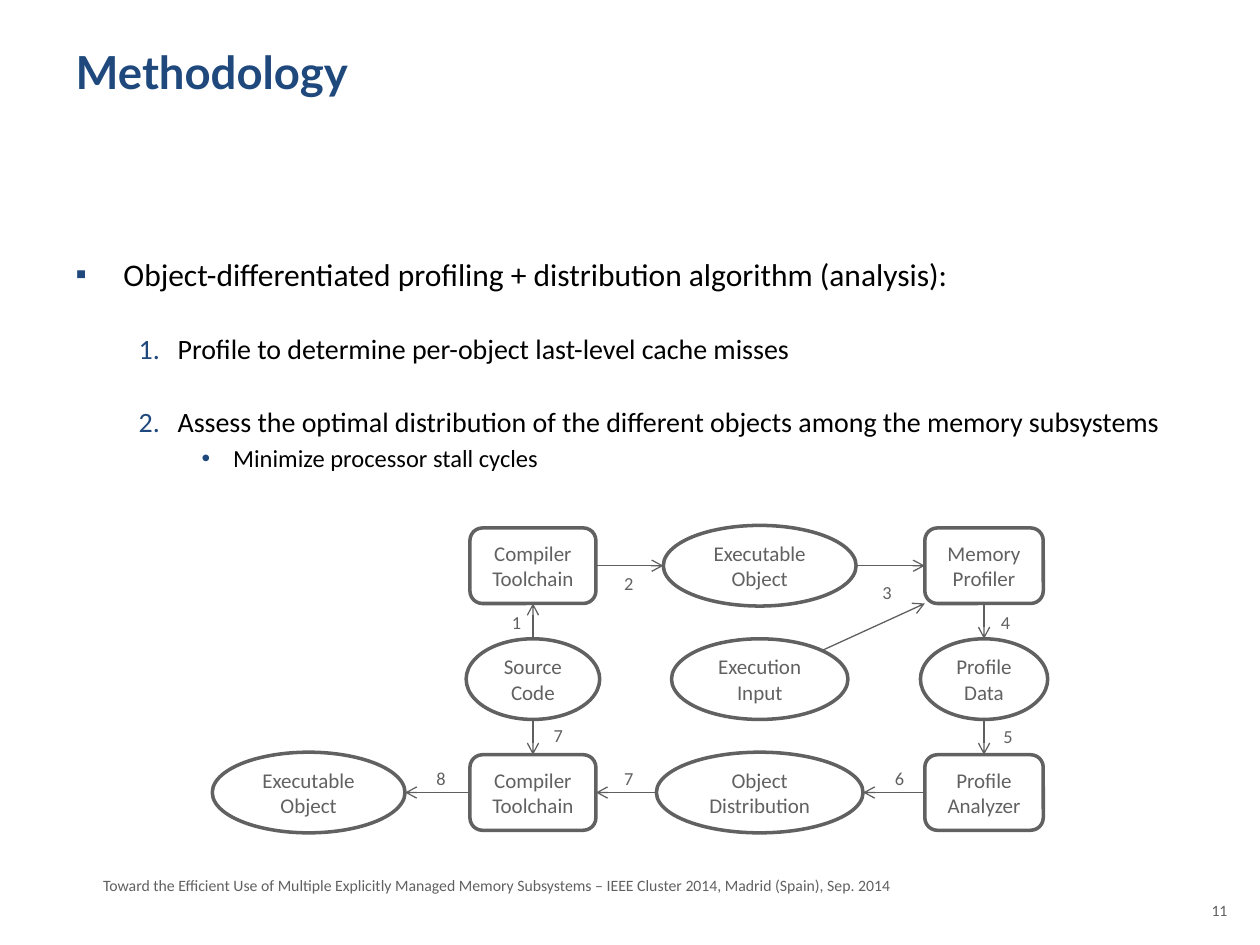
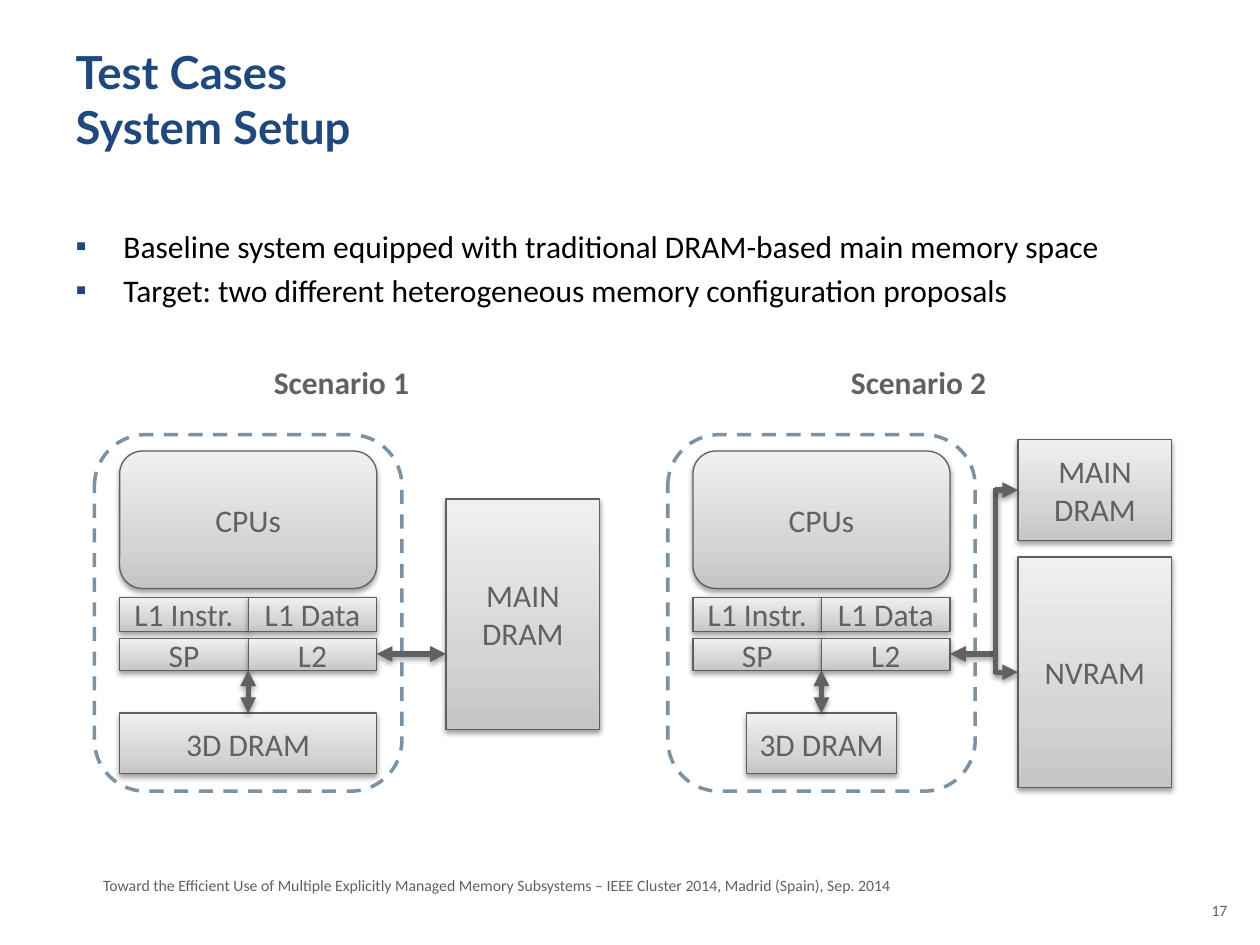
from copy import deepcopy

from pptx import Presentation
from pptx.dml.color import RGBColor
from pptx.enum.dml import MSO_LINE
from pptx.enum.shapes import MSO_CONNECTOR, MSO_SHAPE
from pptx.enum.text import MSO_ANCHOR, MSO_AUTO_SIZE, PP_ALIGN
from pptx.oxml import parse_xml
from pptx.oxml.ns import nsdecls, qn
from pptx.util import Inches, Pt

COLORS = {
    "navy": "1F497D",
    "black": "000000",
    "white": "FFFFFF",
    "text": "616161",
    "line": "5F5F5F",
    "frame": "7B91A4",
}
METAL_STOPS = [(0, "C5C5C5"), (0.35, "D6D6D6"), (1, "F0F0F0")]
RGB = {name: RGBColor.from_string(value) for name, value in COLORS.items()}
BODY_FONT = "Calibri"
FOOTER = (
    "Toward the Efficient Use of Multiple Explicitly Managed Memory Subsystems"
    " – IEEE Cluster 2014, Madrid (Spain), Sep. 2014"
)
SHADOW = (
    f'<a:effectLst {nsdecls("a")}><a:outerShdw blurRad="40000" dist="20000" '
    'dir="5400000" rotWithShape="0"><a:srgbClr val="000000"><a:alpha val="38000"/>'
    "</a:srgbClr></a:outerShdw></a:effectLst>"
)
NO_SHADOW = f'<a:effectLst {nsdecls("a")}/>'


def add_item(slide, kind, box, text, size, align=PP_ALIGN.CENTER, bold=False, metal=False):
    lengths = [Inches(value) for value in box]
    if kind is None:
        shape = slide.shapes.add_textbox(*lengths)
    else:
        shape = slide.shapes.add_shape(kind, *lengths)
        shape.line.color.rgb = RGB["line" if metal else "text"]
        shape.line.width = Pt(0.75 if metal else 2)
        if metal:
            shape.fill.gradient()
            shape.fill.gradient_angle = 90
            first_stop = shape._element.spPr.find(".//" + qn("a:gs"))
            first_stop.addnext(deepcopy(first_stop))
            for stop, (position, color) in zip(shape.fill.gradient_stops, METAL_STOPS):
                stop.position = position
                stop.color.rgb = RGBColor.from_string(color)
            shape._element.spPr.append(parse_xml(SHADOW))
        else:
            shape.fill.solid()
            shape.fill.fore_color.rgb = RGB["white"]
            shape.shadow.inherit = False
    frame = shape.text_frame
    frame.text = text
    frame.word_wrap = True
    if kind is not None:
        frame.vertical_anchor = MSO_ANCHOR.MIDDLE
        frame.margin_left = frame.margin_right = frame.margin_top = frame.margin_bottom = 0
    for paragraph in frame.paragraphs:
        paragraph.alignment = align
        for run in paragraph.runs:
            run.font.name = BODY_FONT
            run.font.size = Pt(size)
            run.font.bold = bold
            run.font.color.rgb = RGB["text"]
    return shape


def add_arrow(slide, start, end, color, width, head=None, tail=None, effect=NO_SHADOW):
    points = [Inches(value) for value in (*start, *end)]
    connector = slide.shapes.add_connector(MSO_CONNECTOR.STRAIGHT, *points)
    connector.line.color.rgb = RGB[color]
    connector.line.width = Pt(width)
    for tag, arrowhead in (("headEnd", head), ("tailEnd", tail)):
        if arrowhead:
            connector.line._get_or_add_ln().append(
                parse_xml(f'<a:{tag} {nsdecls("a")} type="{arrowhead}"/>')
            )
    connector._element.spPr.append(parse_xml(effect))


presentation = Presentation()
presentation.slide_width = Inches(10)
presentation.slide_height = Inches(7.5)

BULLETS = {
    "square": ('<a:buChar {} char="▪"/>', 0, 18, 0.38, -0.38),
    "number": ('<a:buAutoNum {} type="arabicPeriod"/>', 1, 16, 0.81, -0.31),
    "dot": ('<a:buChar {} char="•"/>', 2, 14, 1.25, -0.25),
}
pages = [
    ("Methodology", "11", 1.67, [
        ("square", 2, "Object-differentiated profiling + distribution algorithm (analysis):"),
        ("number", 2, "Profile to determine per-object last-level cache misses"),
        ("number", 2, "Assess the optimal distribution of the different objects among the memory subsystems"),
        ("dot", 1, "Minimize processor stall cycles"),
    ]),
    ("Test Cases\vSystem Setup", "17", 1.75, [
        ("square", 1, "Baseline system equipped with traditional DRAM-based main memory space"),
        ("square", 1, "Target: two different heterogeneous memory configuration proposals"),
    ]),
]
slides = []
for title_text, number, body_top, items in pages:
    slide = presentation.slides.add_slide(presentation.slide_layouts[1])
    slides.append(slide)
    title, body = slide.placeholders
    for shape, top, height in ((title, 0.3, 1.25), (body, body_top, 4.95)):
        shape.left, shape.top = Inches(0.5), Inches(top)
        shape.width, shape.height = Inches(9), Inches(height)
        shape.text_frame.vertical_anchor = MSO_ANCHOR.TOP
        shape.text_frame.word_wrap = True
        shape.text_frame.auto_size = MSO_AUTO_SIZE.NONE

    title.text_frame.text = title_text
    title.text_frame.paragraphs[0].alignment = PP_ALIGN.LEFT
    for run in title.text_frame.paragraphs[0].runs:
        run.font.name = "Lato"
        run.font.size = Pt(26)
        run.font.bold = True
        run.font.color.rgb = RGB["navy"]

    body.text_frame.text = "\n".join(text for _, _, text in items)
    for index, (paragraph, item) in enumerate(zip(body.text_frame.paragraphs, items)):
        bullet, level, size, margin, indent = BULLETS[item[0]]
        paragraph.level = level
        paragraph.line_spacing = float(item[1])
        paragraph.space_before = Pt(0.2 * size if index else 0)
        properties = paragraph._p.get_or_add_pPr()
        properties.set("marL", str(Inches(margin)))
        properties.set("indent", str(Inches(indent)))
        properties.append(parse_xml(
            f'<a:buClr {nsdecls("a")}><a:srgbClr val="{COLORS["navy"]}"/></a:buClr>'
        ))
        properties.append(parse_xml(bullet.format(nsdecls("a"))))
        for run in paragraph.runs:
            run.font.name = BODY_FONT
            run.font.size = Pt(size)
            run.font.color.rgb = RGB["black"]

    add_item(slide, None, (0.72, 6.9, 6.5, 0.25), FOOTER, 9, PP_ALIGN.LEFT)
    add_item(slide, None, (9.42, 7.1, 0.42, 0.4), number, 9, PP_ALIGN.RIGHT)

methodology, test_cases = slides

COLUMNS = [2.45, 4.23, 6.03, 7.81]
ROWS = [4.49, 5.39, 6.29]
STEP, DATA = MSO_SHAPE.ROUNDED_RECTANGLE, MSO_SHAPE.OVAL
NODE_HEIGHTS = {STEP: 0.6, DATA: 0.64}
nodes = {
    (1, 0): (STEP, 1, "Compiler\nToolchain"),
    (2, 0): (DATA, 1.53, "Executable\nObject"),
    (3, 0): (STEP, 0.94, "Memory\nProfiler"),
    (1, 1): (DATA, 1.06, "Source\nCode"),
    (2, 1): (DATA, 1.4, "Execution\nInput"),
    (3, 1): (DATA, 1.01, "Profile\nData"),
    (0, 2): (DATA, 1.53, "Executable\nObject"),
    (1, 2): (STEP, 1, "Compiler\nToolchain"),
    (2, 2): (DATA, 1.64, "Object\nDistribution"),
    (3, 2): (STEP, 0.94, "Profile\nAnalyzer"),
}
for (column, row), (kind, width, text) in nodes.items():
    height = NODE_HEIGHTS[kind]
    box = (COLUMNS[column] - width / 2, ROWS[row] - height / 2, width, height)
    add_item(methodology, kind, box, text, 12)

flows = [
    ((1, 1), (1, 0)), ((1, 1), (1, 2)), ((1, 0), (2, 0)), ((2, 0), (3, 0)), ((3, 0), (3, 1)),
    ((3, 1), (3, 2)), ((3, 2), (2, 2)), ((2, 2), (1, 2)), ((1, 2), (0, 2)),
]
for source, target in flows:
    across, down = target[0] - source[0], target[1] - source[1]
    ends = []
    for (column, row), side in ((source, 1), (target, -1)):
        kind, width, _ = nodes[column, row]
        ends.append((
            COLUMNS[column] + side * across * width / 2,
            ROWS[row] + side * down * NODE_HEIGHTS[kind] / 2,
        ))
    add_arrow(methodology, *ends, "line", 0.75, tail="arrow")
add_arrow(methodology, (6.53, 5.16), (7.34, 4.79), "line", 0.75, tail="arrow")

step_numbers = [
    ("1", 3.96, 4.8), ("2", 4.85, 4.49), ("3", 6.9, 4.56), ("4", 7.84, 4.8), ("5", 7.86, 5.71),
    ("6", 7, 6.04), ("7", 4.29, 5.7), ("7", 4.85, 6.04), ("8", 3.36, 6.04),
]
for number, left, top in step_numbers:
    label = add_item(methodology, None, (left, top, 0.28, 0.29), number, 10.5)
    label.text_frame.word_wrap = False

RECT, ROUNDED = MSO_SHAPE.RECTANGLE, MSO_SHAPE.ROUNDED_RECTANGLE
CELL = 1.02
scenarios = [
    ("Scenario 1", 0.5, 0.75, 2.04, [("MAIN\nDRAM", 3.54, 3.96, 1.83)]),
    ("Scenario 2", 5.08, 5.3, 1.19, [("MAIN\nDRAM", 8.08, 3.49, 0.8), ("NVRAM", 8.08, 4.42, 1.83)]),
]
for heading, heading_left, frame_left, stacked_width, memories in scenarios:
    add_item(test_cases, None, (heading_left, 2.83, 4.42, 0.7), heading, 18, bold=True)

    chip = add_item(test_cases, ROUNDED, (frame_left, 3.45, 2.44, 2.83), "", 18)
    chip.fill.background()
    chip.line.color.rgb = RGB["frame"]
    chip.line.dash_style = MSO_LINE.DASH

    left = frame_left + 0.2
    middle, right = left + CELL, left + 2 * CELL
    blocks = [
        (ROUNDED, "CPUs", left, 3.58, 2 * CELL, 1.09),
        (RECT, "L1 Instr.", left, 4.74, CELL, 0.27),
        (RECT, "L1 Data", middle, 4.74, CELL, 0.27),
        (RECT, "SP", left, 5.07, CELL, 0.25),
        (RECT, "L2", middle, 5.07, CELL, 0.25),
        (RECT, "3D DRAM", middle - stacked_width / 2, 5.66, stacked_width, 0.48),
    ]
    blocks += [(RECT, text, x, y, 1.22, height) for text, x, y, height in memories]
    for kind, text, *box in blocks:
        add_item(test_cases, kind, box, text, 18, metal=True)

    links = [((middle, 5.32), (middle, 5.66), "triangle", "triangle")]
    if len(memories) == 1:
        links.append(((right, 5.19), (3.54, 5.19), "triangle", "triangle"))
    else:
        links.append(((right, 5.19), (7.9, 5.19), "triangle", None))
        links.append(((7.9, 5.35), (7.9, 3.87), None, None))
        for _, x, y, height in memories:
            center = y + height / 2
            links.append(((x, center), (7.9, center), "triangle", None))
    for start, end, head, tail in links:
        add_arrow(test_cases, start, end, "text", 3, head, tail, SHADOW)

presentation.save("out.pptx")
